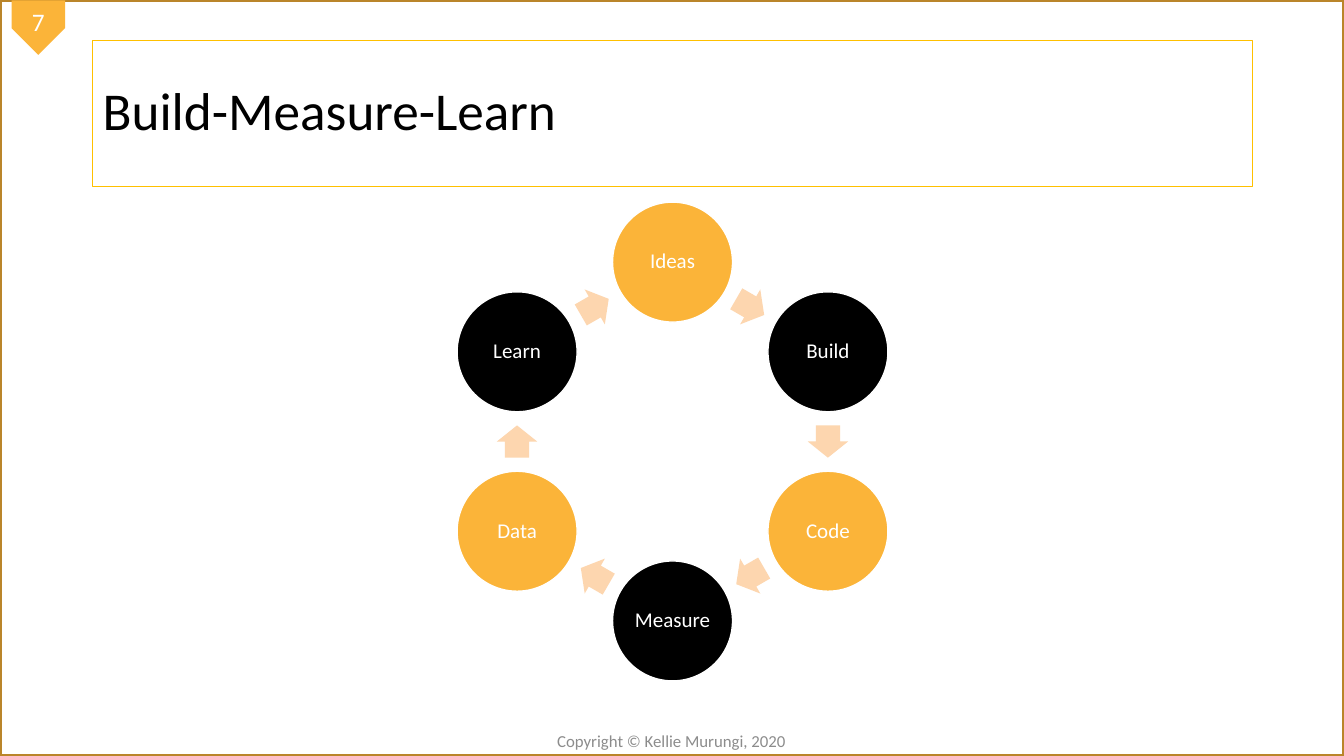
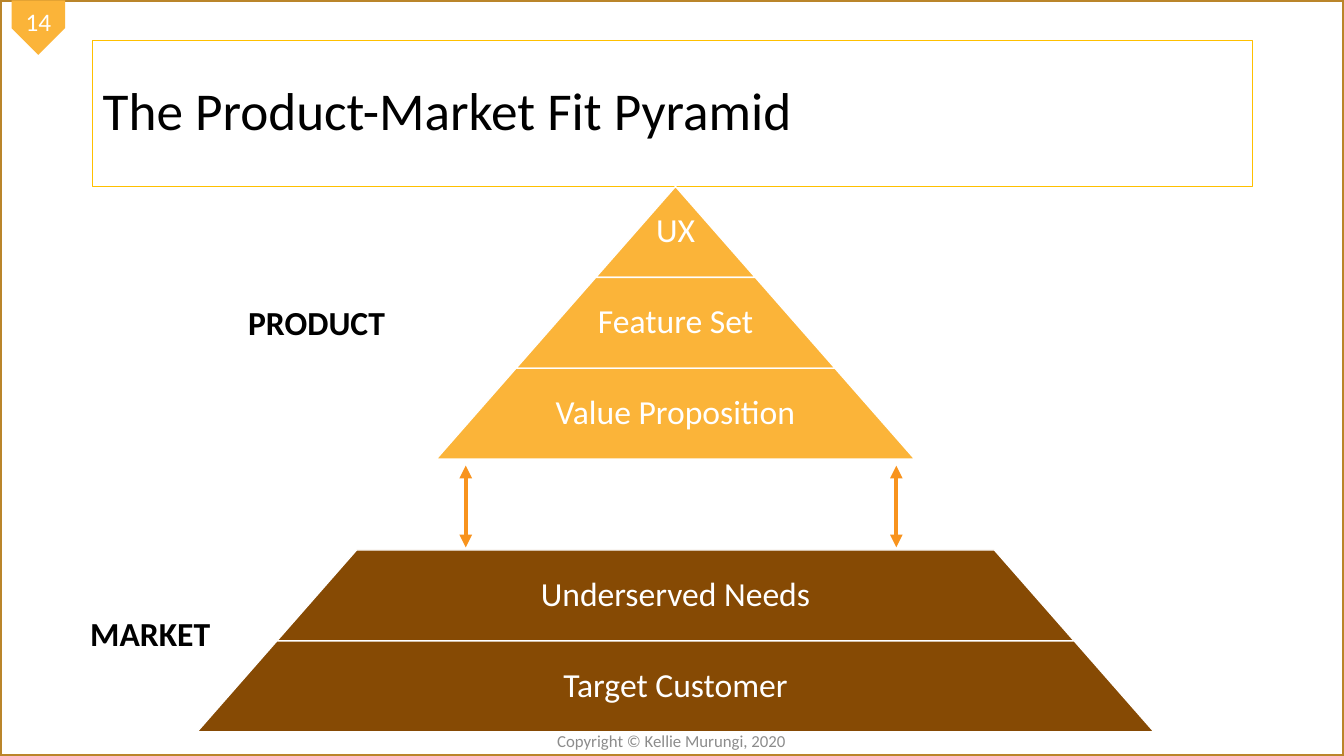
"""Builds two slides: the Build-Measure-Learn cycle and the Product-Market Fit Pyramid."""
import math

from lxml import etree
from pptx import Presentation
from pptx import util as u
from pptx.dml.color import RGBColor
from pptx.enum import shapes, text
from pptx.oxml.ns import qn

COLORS = {
    "frame": "BA852A", "amber": "FBB439", "gold": "FFC000", "peach": "FDD6AF",
    "orange": "F8931D", "brown": "864A04", "black": "000000", "white": "FFFFFF",
    "gray": "8C8C8C",
}
FONT = "Calibri"
WIDTH, HEIGHT = 13.33, 7.5
KIND = shapes.MSO_SHAPE
ALIGN = text.PP_ALIGN


class Deck:
    def __init__(self):
        self.prs = Presentation()
        self.prs.slide_width = u.Inches(WIDTH)
        self.prs.slide_height = u.Inches(HEIGHT)
        self.slide = None

    def start_slide(self, number, title):
        self.slide = self.prs.slides.add_slide(self.prs.slide_layouts[6])
        self.shape(KIND.RECTANGLE, 0, 0, WIDTH, HEIGHT, line="frame", weight=2.25)
        badge = self.shape(KIND.PENTAGON, 0.11, 0.01, 0.54, 0.53, fill="amber")
        badge.rotation = 90
        self.put_text(badge, str(number), 18, "white")
        badge.element.find(".//" + qn("a:bodyPr")).set("vert", "vert270")
        self.label(4.62, 7.2, 4.08, 0.3, "Copyright © Kellie Murungi, 2020", 12, "gray")
        heading = self.shape(KIND.RECTANGLE, 0.92, 0.4, 11.5, 1.45, line="gold", weight=0.75)
        self.put_text(heading, title, 38, "black", align=ALIGN.LEFT, spacing=0.9)

    def shape(self, kind, left, top, width, height, fill=None, line=None, weight=1):
        item = self.slide.shapes.add_shape(
            kind, u.Inches(left), u.Inches(top), u.Inches(width), u.Inches(height))
        item.shadow.inherit = False
        if fill:
            item.fill.solid()
            item.fill.fore_color.rgb = RGBColor.from_string(COLORS[fill])
        else:
            item.fill.background()
        if line:
            item.line.color.rgb = RGBColor.from_string(COLORS[line])
            item.line.width = u.Pt(weight)
        else:
            item.line.fill.background()
        return item

    def put_text(self, item, words, size, color, bold=False, align=ALIGN.CENTER,
                 spacing=1.0, inset=None):
        frame = item.text_frame
        frame.word_wrap = True
        frame.vertical_anchor = text.MSO_ANCHOR.MIDDLE
        if inset is not None:
            frame.margin_left = frame.margin_right = u.Inches(inset)
            frame.margin_top = frame.margin_bottom = u.Inches(inset)
        paragraph = frame.paragraphs[0]
        paragraph.alignment = align
        paragraph.line_spacing = spacing
        run = paragraph.add_run()
        run.text = words
        run.font.name = FONT
        run.font.size = u.Pt(size)
        run.font.bold = bold
        run.font.color.rgb = RGBColor.from_string(COLORS[color])

    def label(self, left, top, width, height, words, size, color, **style):
        box = self.slide.shapes.add_textbox(
            u.Inches(left), u.Inches(top), u.Inches(width), u.Inches(height))
        self.put_text(box, words, size, color, **style)

    def double_arrow(self, x, top, bottom):
        link = self.slide.shapes.add_connector(
            shapes.MSO_CONNECTOR.STRAIGHT,
            u.Inches(x), u.Inches(top), u.Inches(x), u.Inches(bottom))
        link.line.color.rgb = RGBColor.from_string(COLORS["orange"])
        link.line.width = u.Pt(3)
        properties = link.element.spPr
        outline = properties.find(qn("a:ln"))
        for end in ("a:headEnd", "a:tailEnd"):
            etree.SubElement(outline, qn(end), type="triangle")
        etree.SubElement(properties, qn("a:effectLst"))

    def cycle(self, steps, center_x, center_y, radius, diameter):
        turn = 360 / len(steps)
        arrow_radius = radius * math.cos(math.radians(turn / 2))
        arrow_width, arrow_height = 0.32, 0.4

        def corner(angle, distance, width, height):
            bearing = math.radians(angle)
            return (center_x + distance * math.sin(bearing) - width / 2,
                    center_y - distance * math.cos(bearing) - height / 2)

        for index, step in enumerate(steps):
            angle = index * turn
            left, top = corner(angle, radius, diameter, diameter)
            circle = self.shape(KIND.OVAL, left, top, diameter, diameter,
                                fill=("amber", "black")[index % 2], line="white")
            self.put_text(circle, step, 15, "white", spacing=0.9, inset=0.02)
            left, top = corner(angle + turn / 2, arrow_radius, arrow_width, arrow_height)
            arrow = self.shape(KIND.RIGHT_ARROW, left, top, arrow_width, arrow_height,
                               fill="peach")
            arrow.adjustments[0], arrow.adjustments[1] = 0.6, 0.5
            arrow.rotation = angle + turn / 2

    def pyramid(self, tiers, center_x, top, bottom, base):
        height = (bottom - top) / len(tiers)
        growth = base / len(tiers)
        for index, tier in enumerate(tiers):
            if tier is None:
                continue
            words, color = tier
            width = growth * (index + 1)
            place = (center_x - width / 2, top + index * height, width, height)
            layer = self.shape(KIND.TRAPEZOID, *place, fill=color, line="white")
            layer.adjustments[0] = growth / 2 / height
            self.label(*place, words, 24, "white", spacing=0.9, inset=0.03)


def main():
    deck = Deck()

    deck.start_slide(7, "Build-Measure-Learn")
    deck.cycle(["Ideas", "Build", "Code", "Measure", "Data", "Learn"],
               center_x=6.67, center_y=4.38, radius=1.78, diameter=1.19)

    deck.start_slide(14, "The Product-Market Fit Pyramid")
    deck.pyramid([("UX", "amber"), ("Feature Set", "amber"), ("Value Proposition", "amber"),
                  None, ("Underserved Needs", "brown"), ("Target Customer", "brown")],
                 center_x=6.7, top=1.85, bottom=7.26, base=9.49)
    for x in (4.62, 8.89):
        deck.double_arrow(x, 4.62, 5.43)
    for words, left, top in (("PRODUCT", 1.65, 2.95), ("MARKET", 0, 6.03)):
        deck.label(left, top, 2.98, 0.5, words, 24, "black", bold=True)

    deck.prs.save("out.pptx")


if __name__ == "__main__":
    main()
